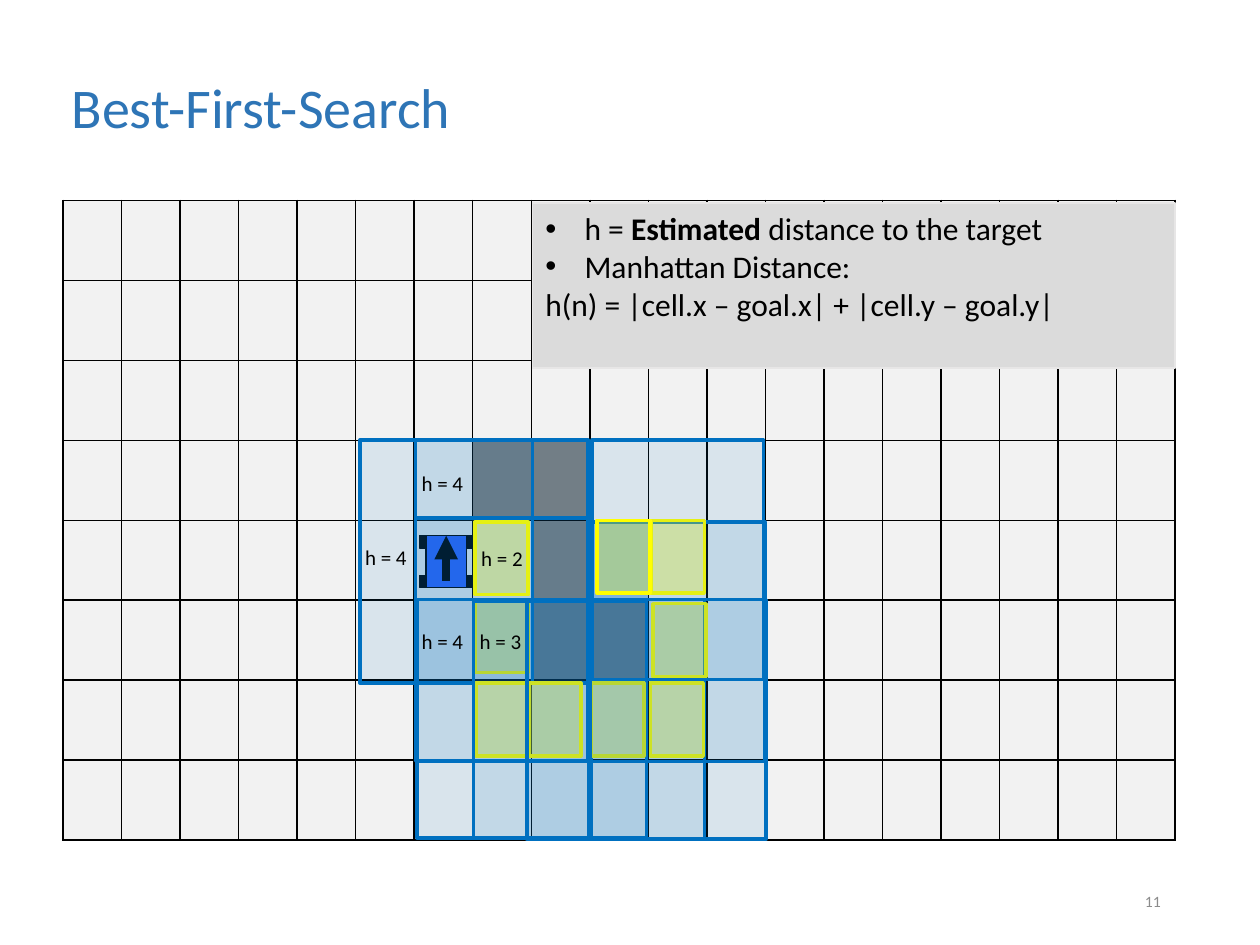
from itertools import product
from lxml.etree import SubElement
from pptx import Presentation
from pptx.dml.color import RGBColor
from pptx.enum.shapes import MSO_CONNECTOR, MSO_SHAPE
from pptx.enum.text import MSO_ANCHOR, MSO_AUTO_SIZE, PP_ALIGN
from pptx.oxml.ns import qn
from pptx.util import Cm, Pt

FONT = "Calibri"
BLACK = RGBColor(0x00, 0x00, 0x00)
TITLE_BLUE = RGBColor(0x2E, 0x75, 0xB6)
FREE = RGBColor(0xF2, 0xF2, 0xF2)
WALL = RGBColor(0x80, 0x80, 0x80)
GOAL = RGBColor(0x9D, 0xC3, 0xE6)
EXPLORED = RGBColor(0x00, 0x70, 0xC0)
PATH = RGBColor(0xFF, 0xFF, 0x00)
ROBOT_BLUE = RGBColor(0x33, 0x66, 0xFF)
NOTE_FILL = RGBColor(0xDB, 0xDB, 0xDB)
NOTE_LINE = RGBColor(0xE7, 0xE6, 0xE6)
NUMBER_GREY = RGBColor(0x8C, 0x8C, 0x8C)

ROWS, COLUMNS = 8, 19
GRID_BOX = (1.27, 4.04, 22.43, 12.9)
CELL_FILLS = {(4, 9): GOAL} | dict.fromkeys(
    [(3, 7), (3, 8), (4, 8), (5, 8), (5, 9)], WALL)

# Search steps in order, relative to the grid: colour, opacity, box
STEP = (1.07, 1.47)
SEARCH = [
    (EXPLORED, 10, (5.99, 4.83, 3.48, 4.9)),
    (EXPLORED, 10, (7.11, 4.83, 3.48, 4.9)),
    (PATH, 30, (8.31, 6.48, *STEP)),
    (PATH, 30, (8.31, 8.05, *STEP)),
    (EXPLORED, 10, (7.11, 6.4, 3.48, 4.9)),
    (PATH, 30, (8.33, 9.73, *STEP)),
    (EXPLORED, 10, (7.14, 8.05, 3.51, 4.8)),
    (PATH, 30, (9.37, 9.73, *STEP)),
    (EXPLORED, 10, (8.28, 8.08, 3.48, 4.78)),
    (PATH, 30, (10.64, 9.73, *STEP)),
    (EXPLORED, 10, (9.35, 8.05, 3.58, 4.83)),
    (PATH, 30, (11.84, 9.73, *STEP)),
    (EXPLORED, 10, (10.59, 8.05, 3.58, 4.83)),
    (PATH, 30, (11.89, 8.13, *STEP)),
    (EXPLORED, 10, (10.62, 6.48, 3.53, 4.83)),
    (PATH, 30, (11.86, 6.45, *STEP)),
    (EXPLORED, 10, (10.67, 4.83, 3.45, 4.83)),
    (PATH, 30, (10.77, 6.45, *STEP)),
]
ESTIMATES = [("h = 4", 6.98, 5.33), ("h = 4", 5.84, 6.81),
             ("h = 4", 6.98, 8.51), ("h = 2", 8.18, 6.83),
             ("h = 3", 8.15, 8.51)]
NOTE_LINES = [["h = ", "Estimated", " distance to the target"],
              ["Manhattan Distance:"],
              ["h(n) = |cell.x – goal.x| + |cell.y – goal.y|"]]


def lengths(box):
    return [Cm(value) for value in box]


def inside(box, x, y, *size):
    return (box[0] + x, box[1] + y, *size)


def style_font(font, size, color):
    font.name, font.size = FONT, Pt(size)
    font.color.rgb = color


def place(item, box):
    item.left, item.top, item.width, item.height = lengths(box)


def add_rect(shapes, box, fill, line, width):
    rect = shapes.add_shape(MSO_SHAPE.RECTANGLE, *lengths(box))
    rect.shadow.inherit = False
    rect.fill.solid()
    rect.fill.fore_color.rgb = fill
    rect.line.color.rgb = line
    rect.line.width = Pt(width)
    return rect


def add_label(slide, box, text, size, color):
    label = slide.shapes.add_textbox(*lengths(box))
    label.text_frame.word_wrap = True
    paragraph = label.text_frame.paragraphs[0]
    paragraph.text = text
    style_font(paragraph.runs[0].font, size, color)
    return label


def write_title(slide, box):
    title = slide.shapes.title
    place(title, box)
    title.text_frame.text = "Best-First-Search"
    title.text_frame.vertical_anchor = MSO_ANCHOR.MIDDLE
    paragraph = title.text_frame.paragraphs[0]
    paragraph.alignment = PP_ALIGN.LEFT
    paragraph.line_spacing = 0.9
    style_font(paragraph.runs[0].font, 32, TITLE_BLUE)


def add_borders(cell):
    properties = cell._tc.get_or_add_tcPr()
    for position, side in enumerate(("a:lnL", "a:lnR", "a:lnT", "a:lnB")):
        border = properties.makeelement(qn(side), {"w": str(Pt(1))})
        fill = SubElement(border, qn("a:solidFill"))
        SubElement(fill, qn("a:srgbClr"), val=str(BLACK))
        properties.insert(position, border)


def add_grid(slide, box):
    grid = slide.shapes.add_table(ROWS, COLUMNS, *lengths(box)).table
    grid.first_row = grid.horz_banding = False
    for column in grid.columns:
        column.width = Cm(box[2] / COLUMNS)
    for row in grid.rows:
        row.height = Cm(box[3] / ROWS)
    for row, column in product(range(ROWS), range(COLUMNS)):
        cell = grid.cell(row, column)
        cell.fill.solid()
        cell.fill.fore_color.rgb = CELL_FILLS.get((row, column), FREE)
        add_borders(cell)


def add_robot(slide, box):
    robot = slide.shapes.add_group_shape().shapes
    width, height = box[2:]
    wheel_width, wheel_height = 0.13, 0.25
    add_rect(robot, inside(box, wheel_width, 0, width - 2 * wheel_width, height),
             ROBOT_BLUE, BLACK, 0.75)
    for y, x in product((0, height - wheel_height), (0, width - wheel_width)):
        add_rect(robot, inside(box, x, y, wheel_width, wheel_height),
                 BLACK, BLACK, 0.75)
    # Heading arrow
    start = inside(box, width / 2, 0.91)
    end = inside(box, width / 2, 0)
    heading = robot.add_connector(MSO_CONNECTOR.STRAIGHT, *lengths(start + end))
    heading.line.color.rgb = BLACK
    heading.line.width = Pt(4.5)
    SubElement(heading.line._get_or_add_ln(), qn("a:tailEnd"), type="triangle")
    SubElement(heading._element.spPr, qn("a:effectLst"))


def add_search(slide, box):
    for color, opacity, (x, y, width, height) in SEARCH:
        area = add_rect(slide.shapes, inside(box, x, y, width, height),
                        color, color, 2)
        tint = area._element.spPr.find(qn("a:solidFill")).find(qn("a:srgbClr"))
        SubElement(tint, qn("a:alpha"), val=str(opacity * 1000))
    for text, x, y in ESTIMATES:
        add_label(slide, inside(box, x, y, 1.47, 0.76), text, 12, BLACK)


def write_note(slide, box):
    note = slide.placeholders[1]
    place(note, box)
    slide.shapes._spTree.append(note._element)  # bring in front of the grid
    note.fill.solid()
    note.fill.fore_color.rgb = NOTE_FILL
    note.line.color.rgb = NOTE_LINE
    note.line.width = Pt(0.75)
    frame = note.text_frame
    frame.auto_size = MSO_AUTO_SIZE.NONE
    frame.vertical_anchor = MSO_ANCHOR.TOP
    for number, parts in enumerate(NOTE_LINES):
        paragraph = frame.add_paragraph() if number else frame.paragraphs[0]
        paragraph.space_before = Pt(0)
        bulleted = number < 2
        indent = Cm(0.79) if bulleted else 0
        properties = paragraph._p.get_or_add_pPr()
        properties.set("marL", str(indent))
        properties.set("indent", str(-indent))
        if bulleted:
            SubElement(properties, qn("a:buFont"), typeface="Arial")
            SubElement(properties, qn("a:buChar"), char="•")
        else:
            SubElement(properties, qn("a:buNone"))
        for part in parts:
            run = paragraph.add_run()
            run.text = part
            style_font(run.font, 18, BLACK)
            run.font.bold = part == "Estimated"


def add_slide_number(slide, box):
    number = add_label(slide, box, "11", 9, NUMBER_GREY)
    number.text_frame.vertical_anchor = MSO_ANCHOR.MIDDLE
    number.text_frame.paragraphs[0].alignment = PP_ALIGN.RIGHT


presentation = Presentation()
presentation.slide_width, presentation.slide_height = Cm(25.4), Cm(19.05)
search_slide = presentation.slides.add_slide(presentation.slide_layouts[1])
write_title(search_slide, (1.19, 0.64, 22.86, 3.18))
add_grid(search_slide, GRID_BOX)
add_slide_number(search_slide, (17.93, 17.65, 5.72, 1.02))
add_robot(search_slide, inside(GRID_BOX, 7.19, 6.76, 1.07, 1.05))
add_search(search_slide, GRID_BOX)
write_note(search_slide, inside(GRID_BOX, 9.47, 0.05, 12.95, 3.33))
presentation.save("out.pptx")
